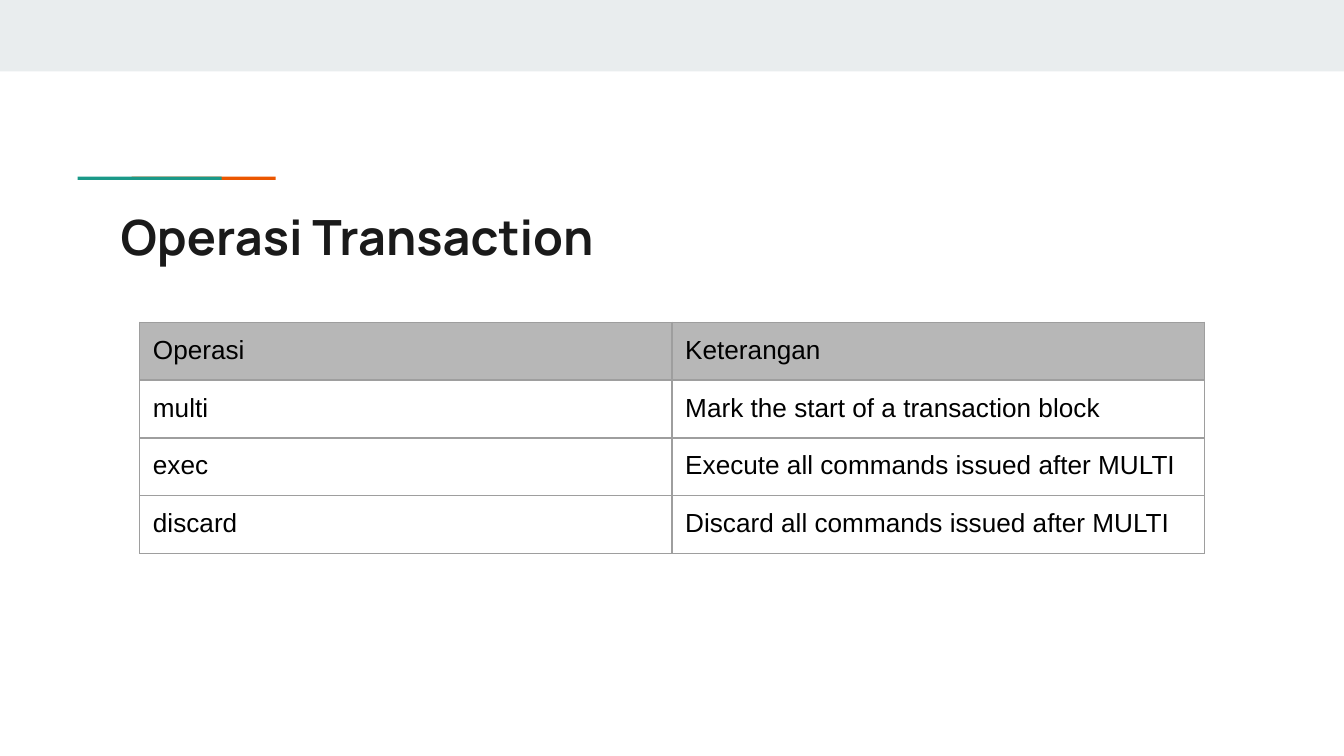
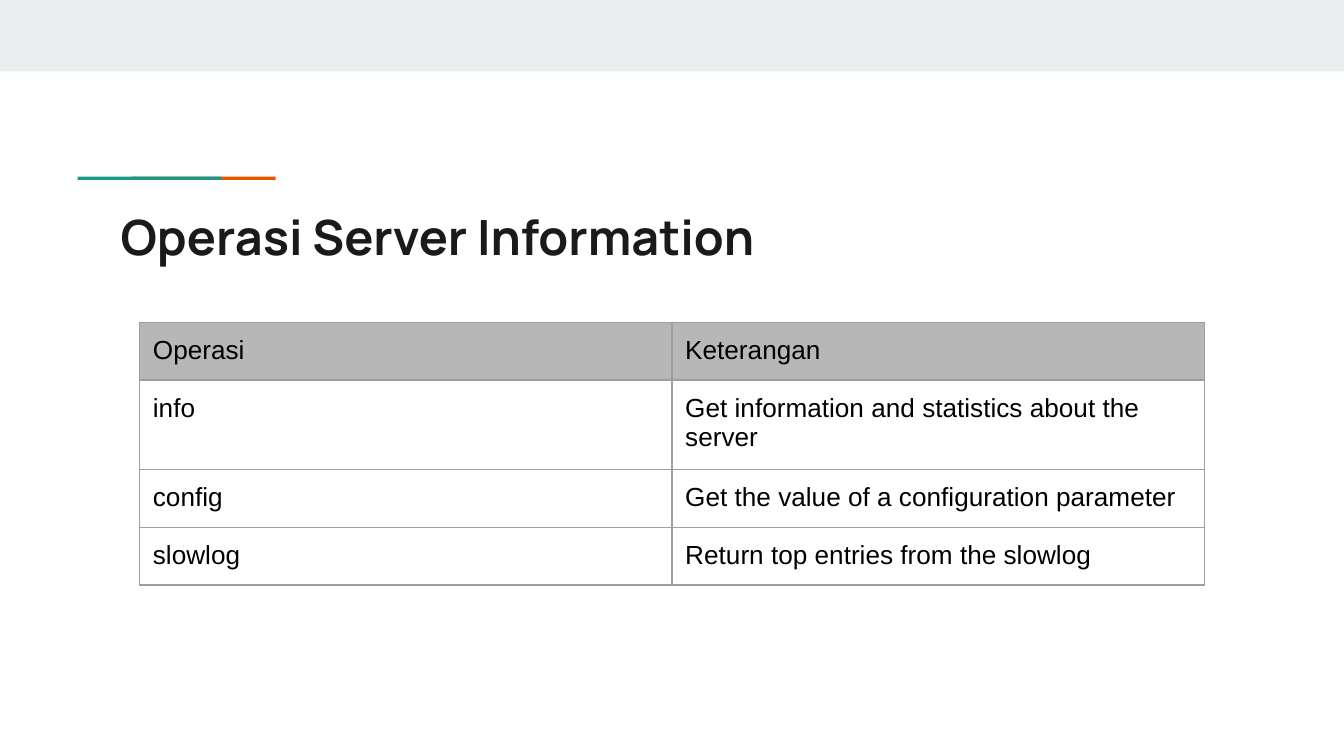
from lxml.etree import SubElement as Sub
from pptx import Presentation
from pptx.dml.color import RGBColor
from pptx.enum.shapes import MSO_SHAPE as Shape
from pptx.enum.text import MSO_ANCHOR as Anchor
from pptx.oxml.ns import qn
from pptx.util import Cm, Pt

# Colours
BAND = RGBColor(0xE9, 0xED, 0xEE)
ORANGE = RGBColor(0xEB, 0x56, 0x00)
GREEN = RGBColor(0x1A, 0x99, 0x88)
INK = RGBColor(0x1A, 0x1A, 0x1A)
BLACK = RGBColor(0x00, 0x00, 0x00)
GREY = RGBColor(0xB7, 0xB7, 0xB7)
EDGE = RGBColor(0x9E, 0x9E, 0x9E)

# Sizes in centimetres
WIDTH, HEIGHT = 25.4, 14.29
PAD = 0.25
COL, ROW = 10.06, 1.06

# Content
HEAD = ("Operasi", "Keterangan")
PAGES = [
    ("Operasi Transaction", [
        ("multi", "Mark the start of a transaction block"),
        ("exec", "Execute all commands issued after MULTI"),
        ("discard", "Discard all commands issued after MULTI"),
    ]),
    ("Operasi Server Information", [
        ("info", "Get information and statistics about the server"),
        ("config", "Get the value of a configuration parameter"),
        ("slowlog", "Return top entries from the slowlog"),
    ]),
]


def write(frame, text, font="Arial", size=14, color=BLACK, bold=False):
    """Put one formatted run into a text frame."""
    frame.word_wrap = True
    run = frame.paragraphs[0].add_run()
    run.text = text
    run.font.name = font
    run.font.size = Pt(size)
    run.font.color.rgb = color
    run.font.bold = bold


def add_bar(slide, left, top, width, height, color):
    bar = slide.shapes.add_shape(
        Shape.RECTANGLE, Cm(left), Cm(top), Cm(width), Cm(height))
    bar.shadow.inherit = False
    bar.fill.solid()
    bar.fill.fore_color.rgb = color
    bar.line.fill.background()


def add_frame(slide):
    """Top band and the two-colour accent, shared by all slides."""
    add_bar(slide, 0, 0, WIDTH, 1.35, BAND)
    for left, color in ((2.49, ORANGE), (1.47, GREEN)):
        add_bar(slide, left, 3.34, 2.72, 0.06, color)


def add_title(slide, text):
    box = slide.shapes.add_textbox(Cm(2.03), Cm(3.66), Cm(21.36), Cm(1.5))
    frame = box.text_frame
    frame.margin_left = frame.margin_right = Cm(PAD)
    frame.margin_top = frame.margin_bottom = Cm(PAD)
    frame.vertical_anchor = Anchor.TOP
    write(frame, text, font="Manrope", size=26, color=INK, bold=True)


def add_edges(cell):
    props = cell._tc.get_or_add_tcPr()
    for side in ("lnL", "lnR", "lnT", "lnB"):
        line = Sub(props, qn(f"a:{side}"), w=str(Pt(0.75)))
        fill = Sub(line, qn("a:solidFill"))
        Sub(fill, qn("a:srgbClr"), val=str(EDGE))


def fill_cell(cell, text, head):
    cell.margin_left = cell.margin_right = Cm(PAD)
    cell.margin_top = cell.margin_bottom = Cm(PAD)
    cell.vertical_anchor = Anchor.TOP
    write(cell.text_frame, text)
    add_edges(cell)
    if head:
        cell.fill.solid()
        cell.fill.fore_color.rgb = GREY
    else:
        cell.fill.background()


def add_grid(slide, rows):
    count, cols = len(rows), len(HEAD)
    table = slide.shapes.add_table(
        count, cols, Cm(2.64), Cm(6.09), Cm(COL * cols), Cm(ROW * count)).table
    table.first_row = table.horz_banding = False
    for col in table.columns:
        col.width = Cm(COL)
    for r, row in enumerate(rows):
        table.rows[r].height = Cm(ROW)
        for c, text in enumerate(row):
            fill_cell(table.cell(r, c), text, head=r == 0)


def main():
    deck = Presentation()
    deck.slide_width, deck.slide_height = Cm(WIDTH), Cm(HEIGHT)
    for title, rows in PAGES:
        slide = deck.slides.add_slide(deck.slide_layouts[6])
        add_frame(slide)
        add_title(slide, title)
        add_grid(slide, [HEAD, *rows])
    deck.save("out.pptx")


if __name__ == "__main__":
    main()
